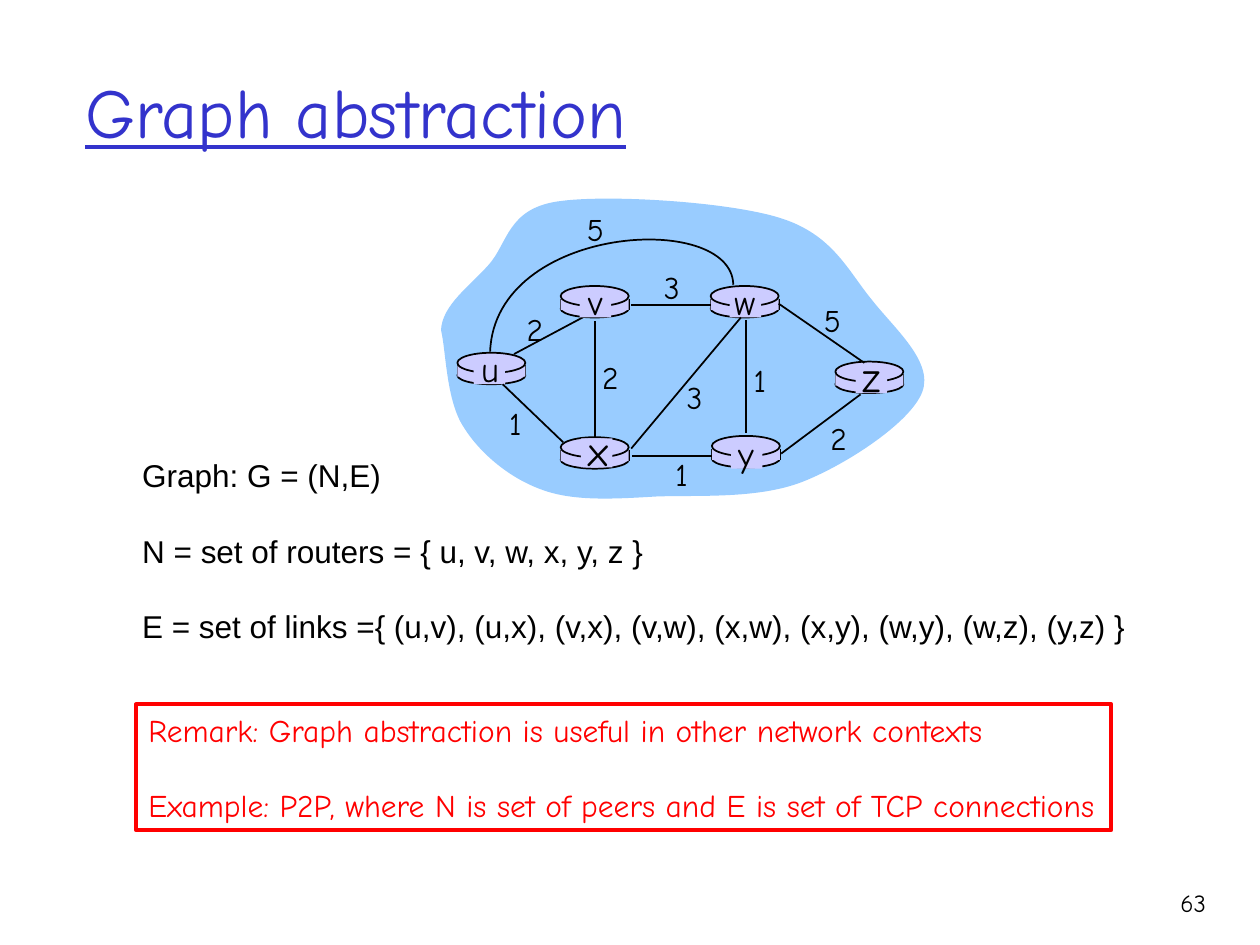
from lxml import etree
from pptx import Presentation
from pptx.dml.color import RGBColor
from pptx.enum.shapes import MSO_CONNECTOR, MSO_SHAPE
from pptx.enum.text import MSO_ANCHOR, PP_ALIGN
from pptx.oxml.ns import qn
from pptx.util import Inches, Pt

LEFT, CENTER, RIGHT = PP_ALIGN.LEFT, PP_ALIGN.CENTER, PP_ALIGN.RIGHT
OVAL, RECT = MSO_SHAPE.OVAL, MSO_SHAPE.RECTANGLE
STRAIGHT = MSO_CONNECTOR.STRAIGHT
TOP, MIDDLE = MSO_ANCHOR.TOP, MSO_ANCHOR.MIDDLE
rgb = RGBColor.from_string
BLACK, RED, BLUE, LILAC, SKY = "000000", "FF0000", "3333CC", "CCCCFF", "99CCFF"
COMIC = "Comic Neue"

prs = Presentation()
prs.slide_width, prs.slide_height = Inches(10), Inches(7.5)
s = prs.slides.add_slide(prs.slide_layouts[6])


def add_text(text, x, y, w, h, size, font=COMIC, color=BLACK, align=LEFT,
             wrap=False, anchor=TOP, gap=0):
    sp = s.shapes.add_textbox(Inches(x), Inches(y), Inches(w), Inches(h))
    tf = sp.text_frame
    tf.text = text
    tf.word_wrap = wrap
    tf.vertical_anchor = anchor
    for i, p in enumerate(tf.paragraphs):
        p.alignment = align
        p.space_before = Pt(gap if i else 0)
        for r in p.runs:
            r.font.name, r.font.size = font, Pt(size)
            r.font.color.rgb = rgb(color)
    return sp


def add_line(x1, y1, x2, y2):
    line = s.shapes.add_connector(STRAIGHT, Inches(x1), Inches(y1), Inches(x2), Inches(y2))
    line.line.color.rgb = rgb(BLACK)
    line.line.width = Pt(1)
    etree.SubElement(line._element.spPr, qn("a:effectLst"))


# Network cloud and the curved u-w link: start point, then Bezier segments
cloud = [(3.5, 2.62),
         (3.51, 2.42), (3.73, 2.27), (3.88, 2.1),
         (4.03, 1.93), (4.03, 1.66), (4.42, 1.6),
         (4.8, 1.54), (5.78, 1.6), (6.19, 1.73),
         (6.61, 1.86), (6.73, 2.15), (6.92, 2.38),
         (7.1, 2.61), (7.41, 2.87), (7.32, 3.11),
         (7.23, 3.35), (6.73, 3.68), (6.38, 3.82),
         (6.03, 3.96), (5.57, 3.93), (5.22, 3.94),
         (4.88, 3.96), (4.56, 3.98), (4.31, 3.89),
         (4.05, 3.8), (3.81, 3.6), (3.68, 3.39),
         (3.54, 3.18), (3.54, 2.78), (3.5, 2.62)]
link_uw = [(5.82, 2.26), (5.81, 1.67), (3.93, 1.78), (3.89, 2.79)]
for curve, closed in ((cloud, True), (link_uw, False)):
    points = [(Inches(x), Inches(y)) for x, y in curve]
    fb = s.shapes.build_freeform(*points[0])
    fb.add_line_segments(points[1:], close=closed)
    sp = fb.convert_to_shape()
    # Turn each three line segments into one Bezier segment
    segments = list(sp._element.iter(qn("a:lnTo")))
    for i in range(0, len(curve) - 1, 3):
        bezier = etree.Element(qn("a:cubicBezTo"))
        segments[i].addprevious(bezier)
        for segment in segments[i:i + 3]:
            bezier.append(segment[0])
            segment.getparent().remove(segment)
    sp.shadow.inherit = False
    if closed:
        sp.fill.solid()
        sp.fill.fore_color.rgb = rgb(SKY)
        sp.line.fill.background()
    else:
        sp.fill.background()
        sp.line.color.rgb = rgb(BLACK)
        sp.line.width = Pt(1)

# Link u-v runs behind the routers
add_line(4.08, 2.81, 4.68, 2.49)

# Routers: left and top; the letter patches go on top later
W = 0.54
routers = [(3.63, 2.8), (4.45, 3.47), (4.45, 2.27), (5.64, 2.27), (5.65, 3.46), (6.63, 2.87)]
patches = [(3.76, 2.82), (5.8, 3.49), (4.61, 3.48), (5.79, 2.29), (4.6, 2.29), (6.79, 2.89)]
parts = []
for x, y in routers:
    parts += [(OVAL, x, y + 0.11, W, 0.14), (RECT, x, y + 0.1, W, 0.09), (OVAL, x, y, W, 0.16)]
parts += [(RECT, x, y, 0.25, 0.23) for x, y in patches]
for i, (kind, x, y, w, h) in enumerate(parts):
    if kind == RECT and i < 3 * len(routers):
        for side in (x, x + w):
            add_line(side, y, side, y + h)
    sp = s.shapes.add_shape(kind, Inches(x), Inches(y), Inches(w), Inches(h))
    sp.shadow.inherit = False
    sp.fill.solid()
    sp.fill.fore_color.rgb = rgb(LILAC)
    if kind == OVAL:
        sp.line.color.rgb = rgb(BLACK)
        sp.line.width = Pt(1)
    else:
        sp.line.fill.background()

# Other straight links
for link in ((5.92, 2.54, 5.92, 3.44),  # w-y
             (4.72, 2.55, 4.72, 3.48),  # v-x
             (5.01, 3.56, 5.88, 2.52),  # x-w
             (6.2, 3.6, 6.83, 3.13),    # y-z
             (5.65, 3.62, 5.02, 3.62),  # x-y
             (4.47, 3.51, 3.99, 3.05),  # u-x
             (5.64, 2.42, 5.01, 2.42),  # v-w
             (6.86, 2.88, 6.18, 2.41)):  # w-z
    add_line(*link)

# Router letters, then link costs
for label, x, y, w, h, size in (
        ("u", 3.72, 2.71, 0.34, 0.44, 20), ("y", 5.76, 3.38, 0.32, 0.44, 20),
        ("x", 4.57, 3.32, 0.36, 0.5, 24), ("w", 5.73, 2.18, 0.36, 0.44, 20),
        ("v", 4.57, 2.18, 0.31, 0.44, 20), ("z", 6.75, 2.73, 0.34, 0.5, 24),
        ("2", 4.08, 2.41, 0.33, 0.4, 18), ("2", 4.68, 2.79, 0.33, 0.4, 18),
        ("1", 3.94, 3.16, 0.3, 0.4, 18), ("3", 5.35, 2.95, 0.32, 0.4, 18),
        ("1", 5.26, 3.56, 0.3, 0.4, 18), ("1", 5.88, 2.82, 0.3, 0.4, 18),
        ("2", 6.49, 3.28, 0.33, 0.4, 18), ("5", 6.44, 2.34, 0.33, 0.4, 18),
        ("3", 5.17, 2.08, 0.32, 0.4, 18), ("5", 4.56, 1.62, 0.33, 0.4, 18)):
    add_text(label, x, y, w, h, size, align=CENTER)

# Definitions
add_text("Graph: G = (N,E)\n"
         "N = set of routers = { u, v, w, x, y, z }\n"
         "E = set of links ={ (u,v), (u,x), (v,x), (v,w), (x,w), (x,y), (w,y), (w,z), (y,z) }",
         1.03, 3.57, 8.09, 1.6, 18, font="Arial", gap=21.6)

# Title
title = add_text("Graph abstraction", 0.58, 0.25, 8.5, 1.25, 40, color=BLUE,
                 wrap=True, anchor=MIDDLE)
title.text_frame.paragraphs[0].runs[0].font.underline = True

# Remark
remark = add_text("Remark: Graph abstraction is useful in other network contexts\n"
                  "Example: P2P, where N is set of peers and E is set of TCP connections",
                  1.08, 5.59, 7.74, 1, 18, color=RED, gap=21.6)
remark.line.color.rgb = rgb(RED)
remark.line.width = Pt(2.25)

# Slide number
add_text("63", 8.93, 7, 0.74, 0.5, 14, align=RIGHT, wrap=True)

prs.save("out.pptx")
